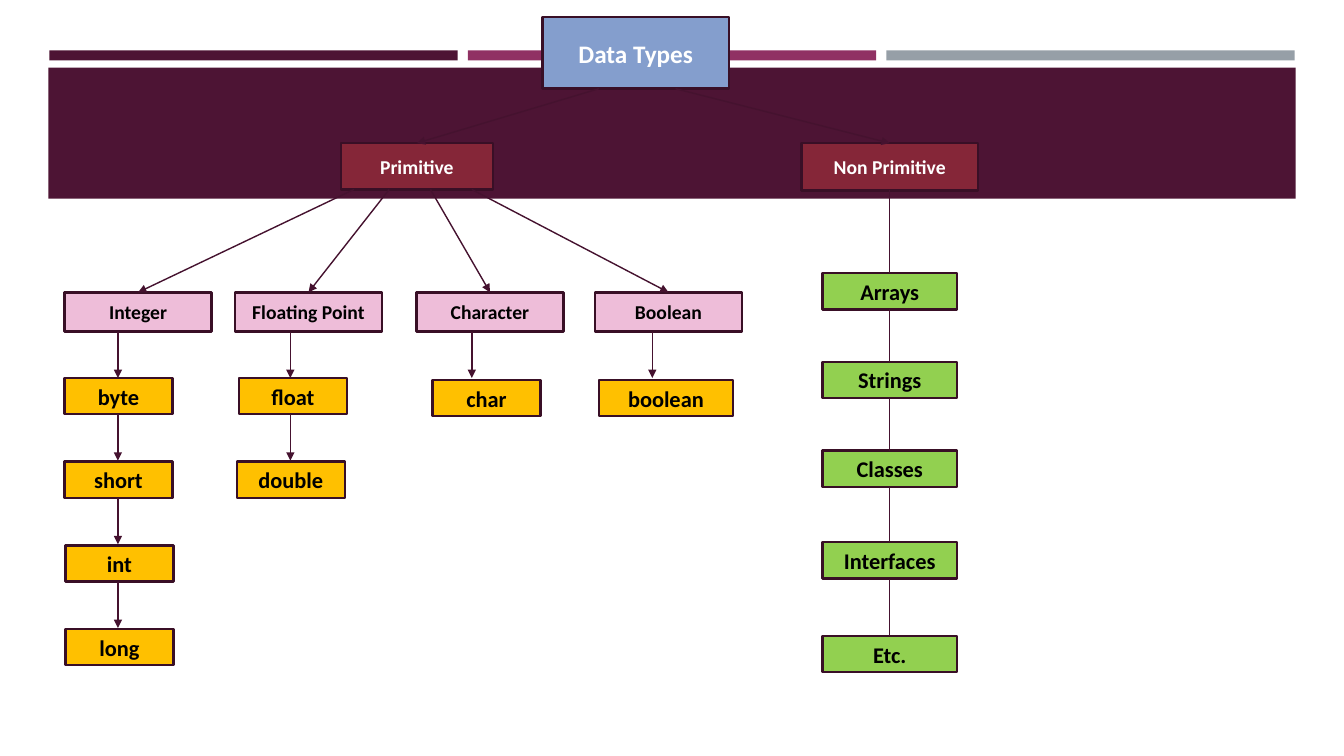
from dataclasses import dataclass

from lxml.etree import SubElement
from pptx import Presentation
from pptx.dml.color import RGBColor
from pptx.enum.shapes import MSO_CONNECTOR, MSO_SHAPE
from pptx.enum.text import MSO_ANCHOR, PP_ALIGN
from pptx.oxml.ns import qn
from pptx.util import Inches, Pt


@dataclass(frozen=True)
class Theme:
    font: str = "Calibri"
    plum: str = "4D1434"
    magenta: str = "903163"
    grey: str = "969FA7"
    blue: str = "849ECD"
    red: str = "852638"
    pink: str = "EEBDD9"
    amber: str = "FFC000"
    green: str = "92D050"
    border: str = "390F26"
    link: str = "45122F"
    light: str = "FFFFFF"
    dark: str = "000000"
    root_size: int = 18
    group_size: int = 14
    leaf_size: int = 16
    border_width: float = 1.75
    link_width: float = 1


THEME = Theme()

# All lengths below are columns and rows of a grid of tenths of an inch.
CELL = Inches(0.1)
LEAF_HEIGHT = 3.6
LEAF_PITCH = 8.3
CATEGORY_TOP, CATEGORY_WIDTH, CATEGORY_HEIGHT = 29, 14.6, 3.9
CATEGORY_BOTTOM = CATEGORY_TOP + CATEGORY_HEIGHT
GROUP_TOP, PRIMITIVE_BOTTOM, NON_PRIMITIVE_BOTTOM = 14.2, 18.8, 18.9
NON_PRIMITIVE_AXIS = 88.25

# category, left, start of its arrow, axis of its chain, top and width of leaves, (leaf, left)
FAMILIES = [
    ("Integer", 6.4, 35.1, 11.7, 37.5, 10.7,
     [("byte", 6.4), ("short", 6.4), ("int", 6.5), ("long", 6.5)]),
    ("Floating Point", 23.3, 38.6, 28.8, 37.5, 10.7,
     [("float", 23.7), ("double", 23.5)]),
    ("Character", 41.3, 42.7, 46.8, 37.7, 10.7, [("char", 42.9)]),
    ("Boolean", 59, 46.8, 64.7, 37.7, 13.3, [("boolean", 59.4)]),
]
NON_PRIMITIVES = [("Arrays", 27.1), ("Strings", 35.9), ("Classes", 44.7),
                  ("Interfaces", 53.8), ("Etc.", 63.1)]


def grid(*lengths):
    return [round(length * CELL) for length in lengths]


def add_bar(slide, left, top, width, height, color):
    shape = slide.shapes.add_shape(MSO_SHAPE.RECTANGLE, *grid(left, top, width, height))
    shape.shadow.inherit = False
    shape.fill.solid()
    shape.fill.fore_color.rgb = RGBColor.from_string(color)
    shape.line.fill.background()
    return shape


def add_box(slide, text, left, top, width, height, fill, size, color=THEME.dark):
    shape = add_bar(slide, left, top, width, height, fill)
    shape.line.color.rgb = RGBColor.from_string(THEME.border)
    shape.line.width = Pt(THEME.border_width)
    shape.text_frame.word_wrap = True
    shape.text_frame.vertical_anchor = MSO_ANCHOR.MIDDLE
    paragraph = shape.text_frame.paragraphs[0]
    paragraph.alignment = PP_ALIGN.CENTER
    run = paragraph.add_run()
    run.text = text
    run.font.name = THEME.font
    run.font.size = Pt(size)
    run.font.bold = True
    run.font.color.rgb = RGBColor.from_string(color)


def add_link(slide, start, end, arrow=True):
    connector = slide.shapes.add_connector(MSO_CONNECTOR.STRAIGHT, *grid(*start, *end))
    connector.line.color.rgb = RGBColor.from_string(THEME.link)
    connector.line.width = Pt(THEME.link_width)
    if arrow:
        SubElement(connector.line._get_or_add_ln(), qn("a:tailEnd"), type="triangle")
    SubElement(connector._element.spPr, qn("a:effectLst"))


def add_header(slide):
    for left, color in ((4.9, THEME.plum), (46.4, THEME.magenta), (87.9, THEME.grey)):
        add_bar(slide, left, 5, 40.5, 1, color)
    add_bar(slide, 4.8, 6.7, 123.7, 13, THEME.plum)


def add_roots(slide):
    add_box(slide, "Data Types", 53.8, 1.7, 18.5, 7.1, THEME.blue, THEME.root_size, THEME.light)
    groups = [("Primitive", 33.8, 15.1, PRIMITIVE_BOTTOM, 59.4),
              ("Non Primitive", 79.5, 17.5, NON_PRIMITIVE_BOTTOM, 67)]
    for text, left, width, bottom, link_start in groups:
        add_box(slide, text, left, GROUP_TOP, width, bottom - GROUP_TOP,
                THEME.red, THEME.group_size, THEME.light)
        add_link(slide, (link_start, 8.8), (left + width / 2, GROUP_TOP))


def add_family(slide, category, left, link_start, axis, leaf_top, leaf_width, leaves):
    """Draw one primitive category and the chain of types below it."""
    add_box(slide, category, left, CATEGORY_TOP, CATEGORY_WIDTH, CATEGORY_HEIGHT,
            THEME.pink, THEME.group_size)
    add_link(slide, (link_start, PRIMITIVE_BOTTOM), (left + CATEGORY_WIDTH / 2, CATEGORY_TOP))
    link_top = CATEGORY_BOTTOM
    for index, (text, leaf_left) in enumerate(leaves):
        top = leaf_top + index * LEAF_PITCH
        add_box(slide, text, leaf_left, top, leaf_width, LEAF_HEIGHT,
                THEME.amber, THEME.leaf_size)
        add_link(slide, (axis, link_top), (axis, link_top + 4.6))
        link_top = top + LEAF_HEIGHT


def add_non_primitives(slide):
    link_top = NON_PRIMITIVE_BOTTOM
    for text, top in NON_PRIMITIVES:
        add_box(slide, text, 81.6, top, 13.3, LEAF_HEIGHT, THEME.green, THEME.leaf_size)
        add_link(slide, (NON_PRIMITIVE_AXIS, link_top), (NON_PRIMITIVE_AXIS, top), arrow=False)
        link_top = top + LEAF_HEIGHT


def main():
    presentation = Presentation()
    presentation.slide_width = Inches(13.33)
    presentation.slide_height = Inches(7.5)
    slide = presentation.slides.add_slide(presentation.slide_layouts[6])
    add_header(slide)
    add_roots(slide)
    for family in FAMILIES:
        add_family(slide, *family)
    add_non_primitives(slide)
    presentation.save("out.pptx")


if __name__ == "__main__":
    main()
